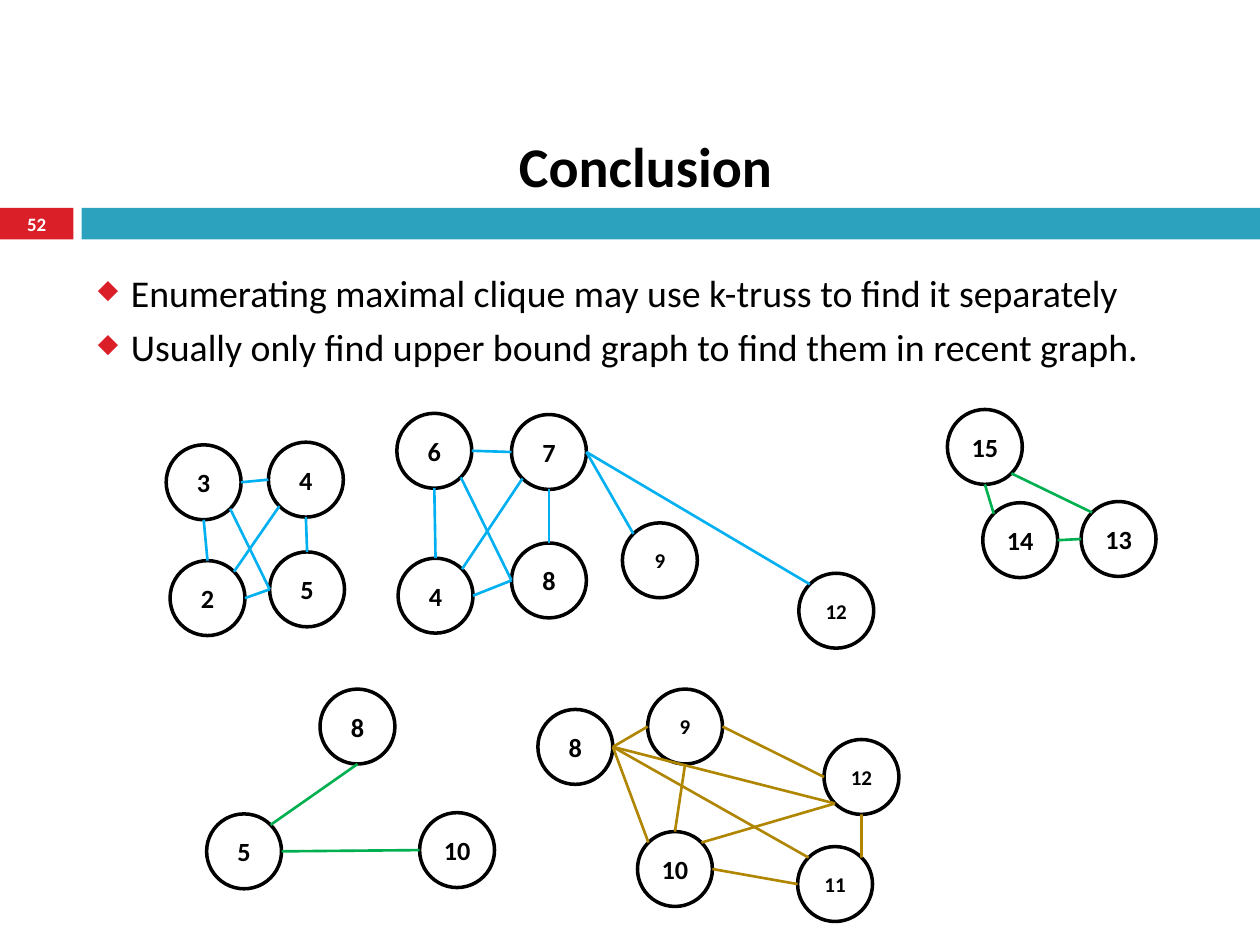
from math import cos, radians, sin

from lxml.etree import SubElement
from pptx import Presentation
from pptx.dml.color import RGBColor
from pptx.enum.shapes import MSO_CONNECTOR as Line, MSO_SHAPE as Shape
from pptx.enum.text import MSO_ANCHOR as Anchor, PP_ALIGN as Align
from pptx.oxml.ns import qn
from pptx.util import Pt

RED, TEAL, BLACK, WHITE = "DA1F28", "2DA2BF", "000000", "FFFFFF"
BLUE, GREEN, GOLD = "00B0F0", "00B050", "B08600"
SIZE = 42.8  # node diameter
SMALL = {"9", "11", "12"}  # nodes with the smaller label
ANGLE = {side: i * 45 for i, side in enumerate("e se s sw w nw n ne".split())}

# Each graph: edge colour, node places (left, top), edges between node sides
GRAPHS = [
    (BLUE,
     {"2": (97.2, 320.4), "3": (95, 254.2), "4": (153.4, 252.7),
      "5": (154.1, 315.4)},
     ["3e 4w", "3s 2n", "4s 5n", "2e 5w", "2ne 4sw", "5w 3se"]),
    (BLUE,
     {"4": (227.5, 319), "12": (456.5, 327.6), "9": (355.7, 298.8),
      "6": (226.8, 236.2), "7": (292.3, 236.9), "8": (292.3, 310.3)},
     ["6e 7w", "4e 8w", "4ne 7sw", "8w 6se", "7e 9nw", "7e 12nw",
      "7s 8n", "6s 4n"]),
    (GOLD,
     {"12": (470.9, 422.6), "9": (370.1, 393.8), "11": (455.8, 483.8),
      "8": (307.4, 405.4), "10": (364.3, 475.2)},
     ["11ne 12s", "8e 9w", "10nw 8e", "8e 12sw", "8e 11nw", "10n 9s",
      "10ne 12sw", "10e 11w", "9e 12w"]),
    (GREEN,
     {"14": (561.6, 287.3), "15": (541.4, 234), "13": (617.8, 286.6)},
     ["15s 14nw", "14e 13w", "13nw 15se"]),
    (GREEN,
     {"5": (118.1, 465.1), "8": (182.9, 393.8), "10": (239.8, 464.4)},
     ["5ne 8s", "5e 10w"]),
]


def color(code):
    return RGBColor.from_string(code)


class Deck:
    font = "Calibri"

    def __init__(self, wide, high):
        self.prs = Presentation()
        self.prs.slide_width, self.prs.slide_height = Pt(wide), Pt(high)
        self.slide = self.prs.slides.add_slide(self.prs.slide_layouts[5])

    def style(self, para, size, tint=BLACK, bold=False, align=Align.CENTER):
        para.alignment = align
        font = para.font
        font.name, font.size, font.bold = self.font, Pt(size), bold
        font.color.rgb = color(tint)

    def frame(self, shape, anchor, pad=(0, 0), wrap=True):
        frame = shape.text_frame
        frame.word_wrap, frame.vertical_anchor = wrap, anchor
        frame.margin_left = frame.margin_right = Pt(pad[0])
        frame.margin_top = frame.margin_bottom = Pt(pad[1])
        return frame

    def title(self, text, *box):
        shape = self.slide.shapes.title
        shape.left, shape.top, shape.width, shape.height = map(Pt, box)
        frame = self.frame(shape, Anchor.BOTTOM, (7.9, 4.3))
        frame.text = text
        self.style(frame.paragraphs[0], 32, bold=True)

    def bar(self, fill, *box):
        shape = self.slide.shapes.add_shape(Shape.RECTANGLE, *map(Pt, box))
        shape.shadow.inherit = False
        shape.fill.solid()
        shape.fill.fore_color.rgb = color(fill)
        shape.line.fill.background()

    def number(self, text, *box):
        shape = self.slide.shapes.add_textbox(*map(Pt, box))
        frame = self.frame(shape, Anchor.MIDDLE, (7.9, 4.3))
        frame.text = text
        self.style(frame.paragraphs[0], 10.8, WHITE, True)

    def bullets(self, lines, *box):
        shape = self.slide.shapes.add_textbox(*map(Pt, box))
        frame = self.frame(shape, Anchor.TOP, (7.9, 4.3))
        frame.margin_top = Pt(36)
        frame.text = "\n".join(lines)
        for para in frame.paragraphs:
            self.style(para, 21.6, align=Align.LEFT)
            para.space_before = Pt(5.2)
            props = para._p.get_or_add_pPr()
            props.set("marL", str(Pt(18.9)))
            props.set("indent", str(-Pt(18.9)))
            # Bullet marks go ahead of the default run settings
            tint = SubElement(props, qn("a:buClr"))
            SubElement(tint, qn("a:srgbClr"), val=RED)
            SubElement(props, qn("a:buSzPct"), val="70000")
            SubElement(props, qn("a:buChar"), char="◆")
            props.append(props.find(qn("a:defRPr"))) if props.find(
                qn("a:defRPr")) is not None else None

    def node(self, group, text, left, top):
        shape = group.shapes.add_shape(
            Shape.FLOWCHART_CONNECTOR, *map(Pt, (left, top, SIZE, SIZE)))
        shape.shadow.inherit = False
        shape.fill.background()
        shape.line.color.rgb = color(BLACK)
        shape.line.width = Pt(2)
        frame = self.frame(shape, Anchor.MIDDLE, wrap=False)
        frame.text = text
        self.style(frame.paragraphs[0], 12 if text in SMALL else 15, bold=True)

    def edge(self, group, tint, start, end):
        line = group.shapes.add_connector(
            Line.STRAIGHT, *map(Pt, start + end))
        line.line.color.rgb = color(tint)
        line.line.width = Pt(1.5)
        SubElement(line._element.spPr, qn("a:effectLst"))

    def graph(self, tint, nodes, edges):
        group = self.slide.shapes.add_group_shape()

        def point(end):
            name = end.rstrip("nesw")
            turn = radians(ANGLE[end[len(name):]])
            left, top = nodes[name]
            half = SIZE / 2
            return (left + half + half * cos(turn),
                    top + half + half * sin(turn))

        for name, place in nodes.items():
            self.node(group, name, *place)
        for pair in edges:
            self.edge(group, tint, *map(point, pair.split()))


def main():
    deck = Deck(720, 540)

    # Header band, title and page number
    deck.bar(RED, 0, 118.8, 42, 18)
    deck.bar(TEAL, 46.6, 118.8, 673.4, 18)
    deck.title("Conclusion", 48, 12, 642, 106)
    deck.number("52", 0, 118, 42, 19.4)

    # Main points
    deck.bullets([
        "Enumerating maximal clique may use k-truss to find it separately",
        "Usually only find upper bound graph to find them in recent graph.",
    ], 48, 118, 642, 390)

    # Graphs
    for graph in GRAPHS:
        deck.graph(*graph)

    deck.prs.save("out.pptx")


if __name__ == "__main__":
    main()
